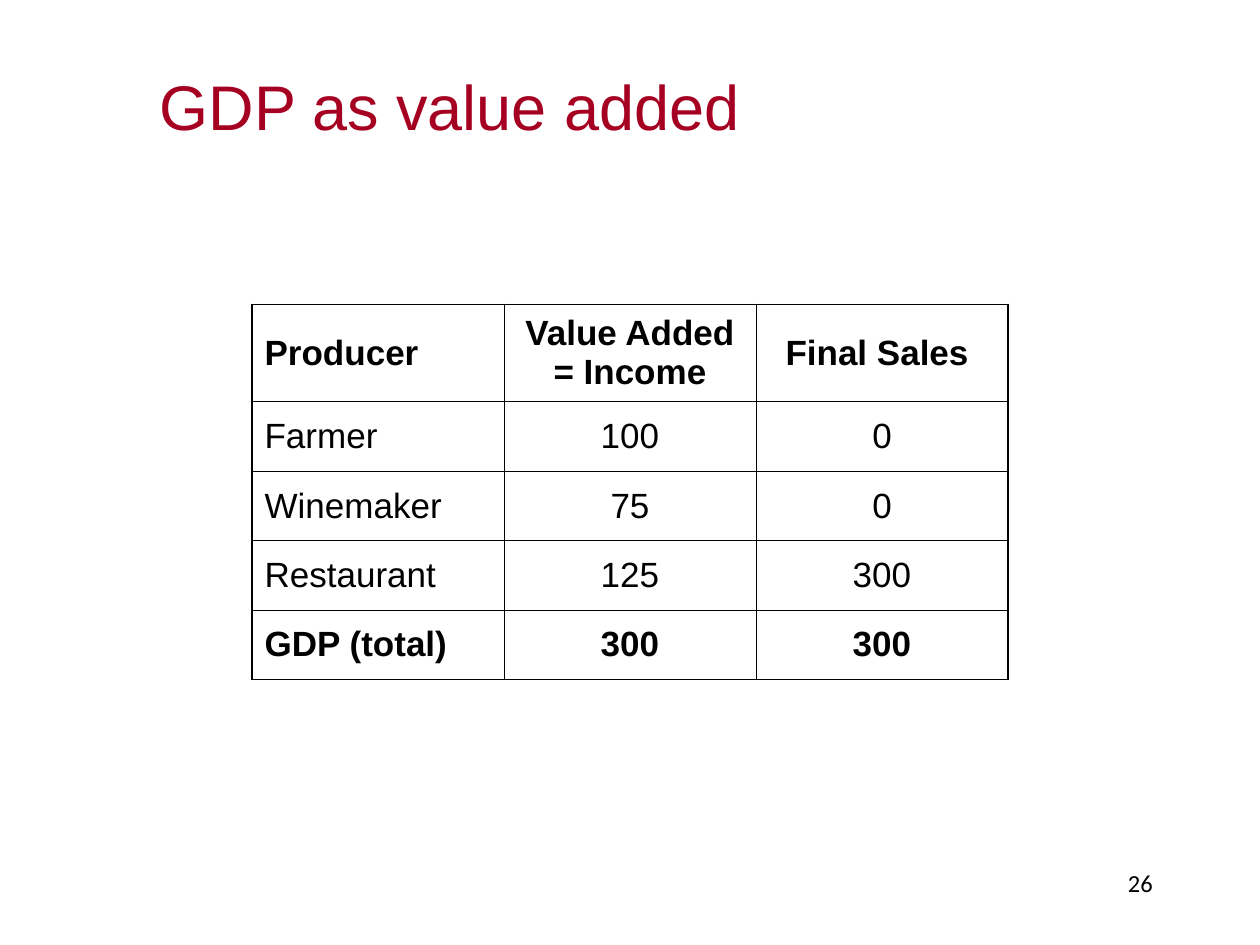
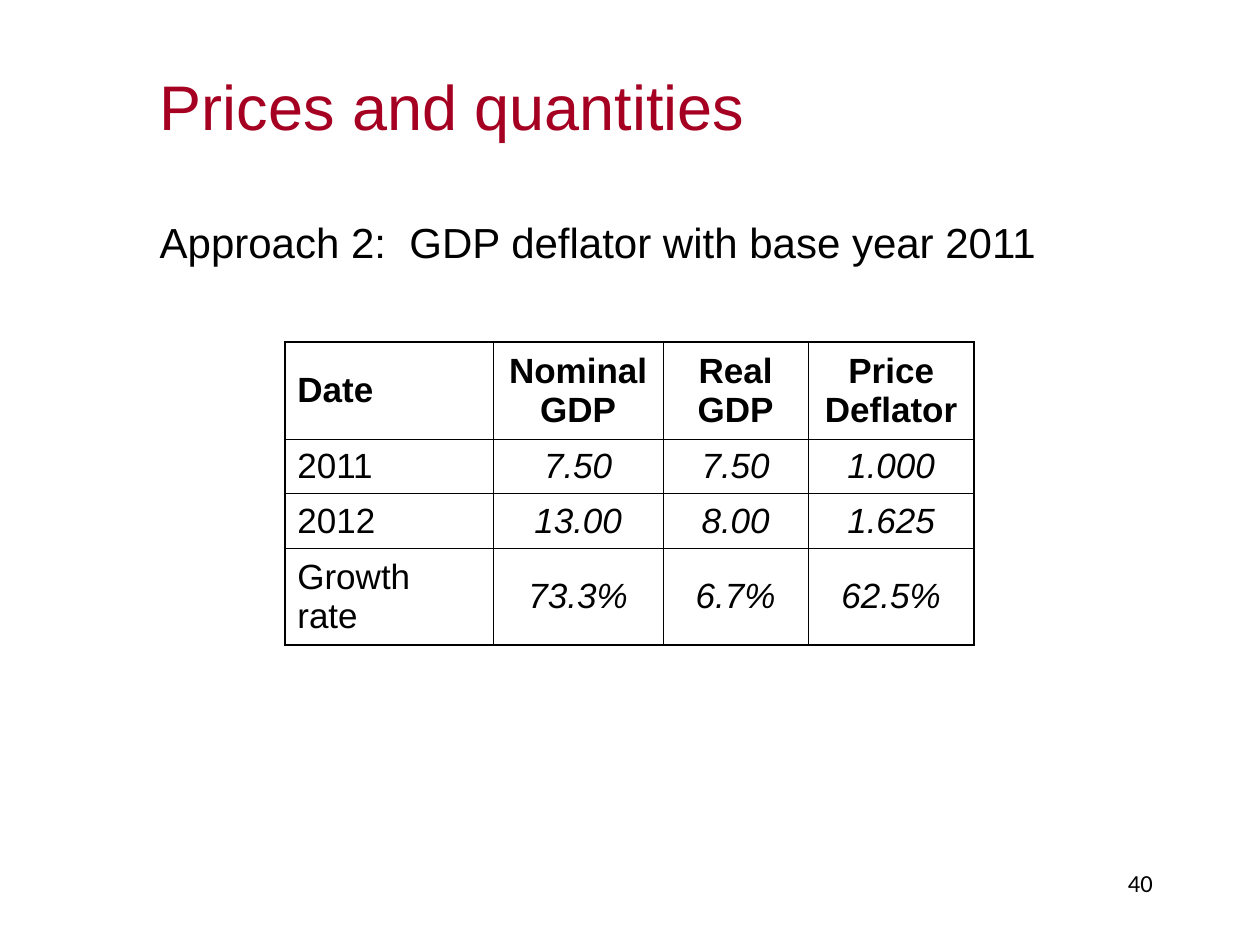
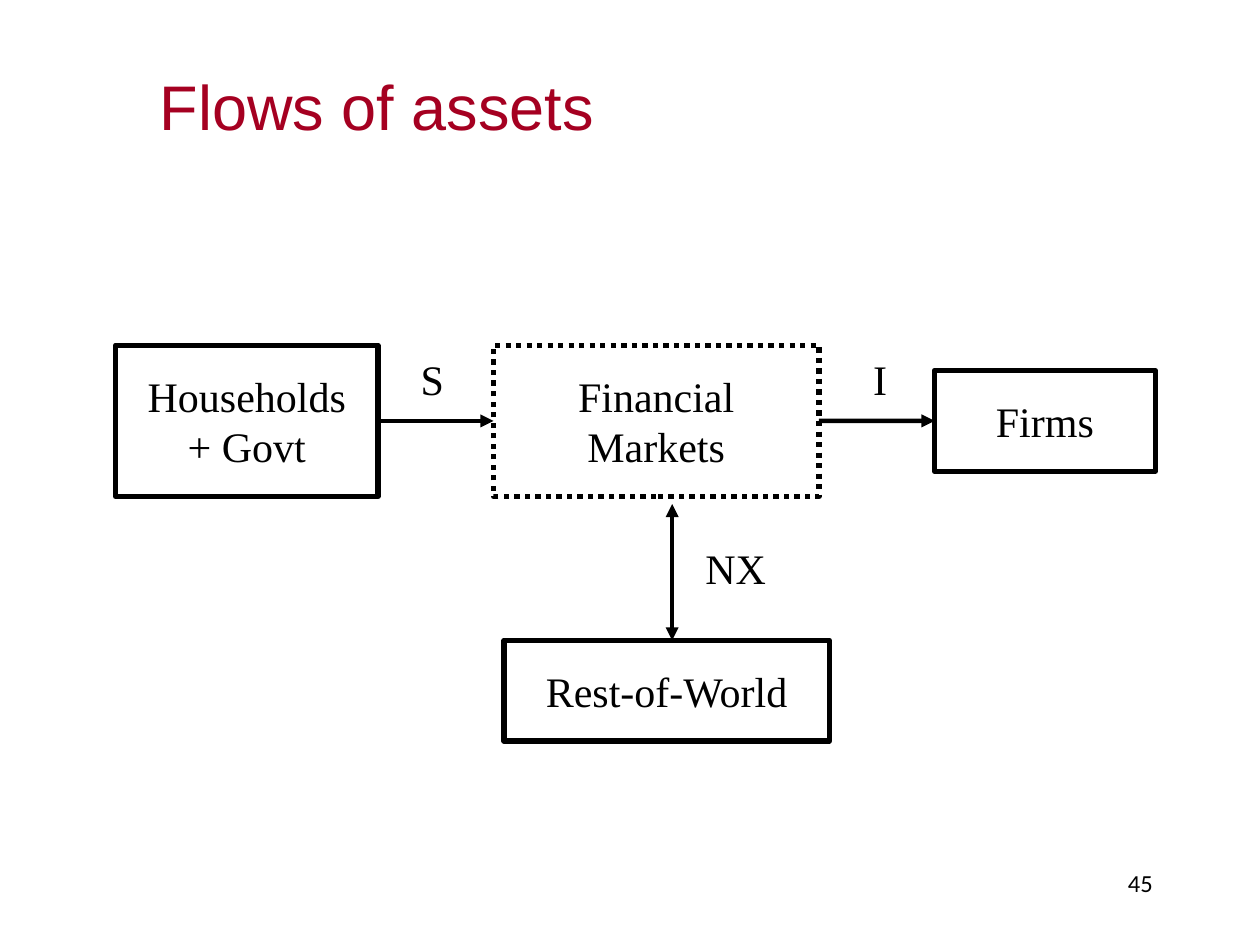
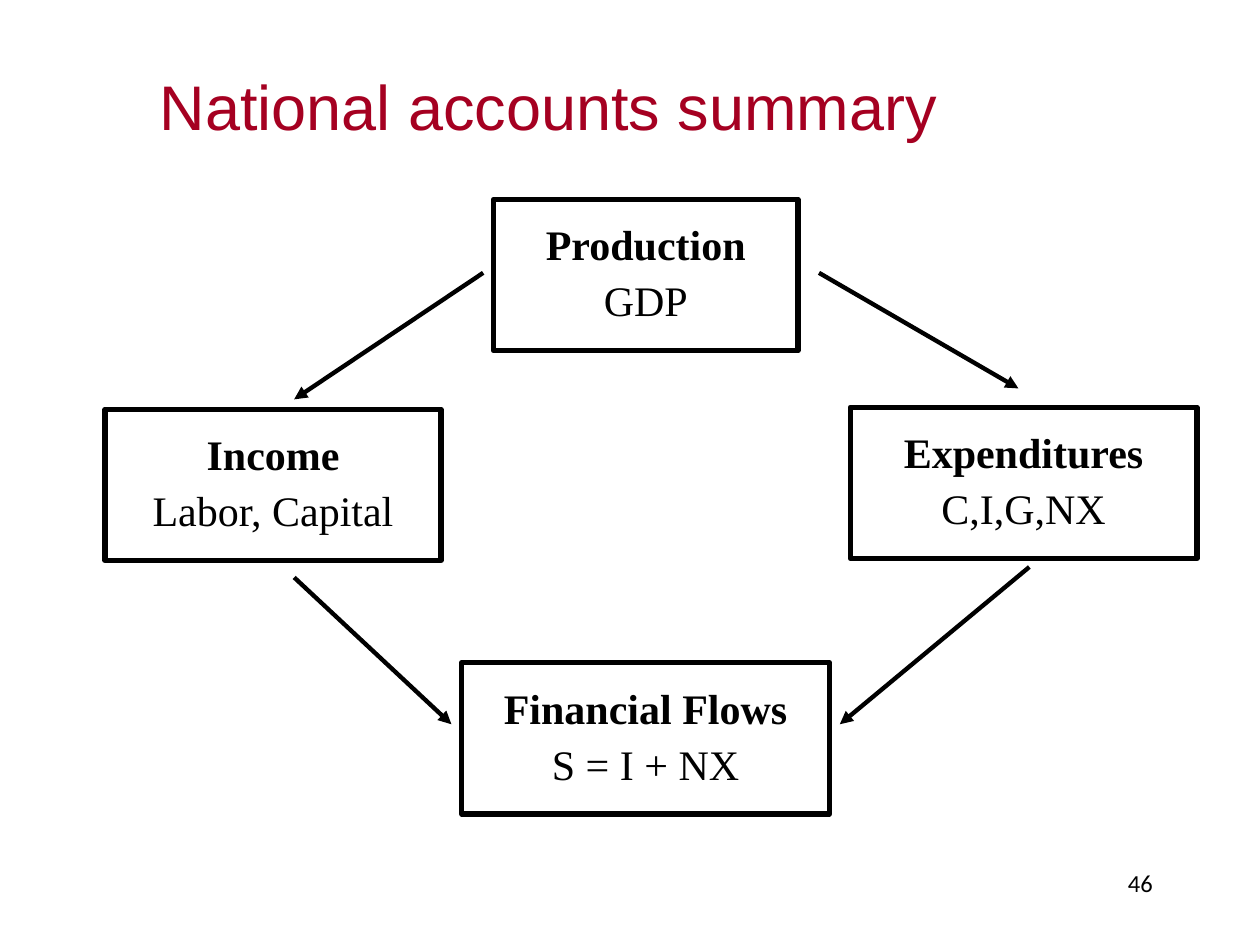
from lxml.etree import SubElement
from pptx import Presentation
from pptx.dml.color import RGBColor
from pptx.enum.dml import MSO_LINE
from pptx.enum.shapes import MSO_CONNECTOR, MSO_SHAPE
from pptx.enum.text import MSO_ANCHOR, PP_ALIGN
from pptx.oxml import parse_xml
from pptx.oxml.ns import nsdecls, qn
from pptx.util import Cm, Pt

BLACK = RGBColor(0x00, 0x00, 0x00)
CRIMSON = RGBColor(0xA5, 0x00, 0x21)
WHITE = RGBColor(0xFF, 0xFF, 0xFF)
SANS, SERIF, NUMBER_FONT = "Arial", "Times New Roman", "Calibri"

# All places are left, top, width, height in centimetres.
PAGE_SIZE = (25.4, 19.05)
TITLE_PLACE = (2.97, 1.06, 20.53, 2.12)
NUMBER_PLACE = (18.2, 17.36, 5.29, 1.27)
INSETS = (0.25, 0.13, 0.25, 0.13)
BOX_INSETS = (0.51, 0.51, 0.51, 0.51)
OUTER_RULE, INNER_RULE = Pt(1.08), Pt(0.45)

TITLE = {"name": SANS, "size": Pt(36), "color": CRIMSON}
NUMBER = {"name": NUMBER_FONT, "size": Pt(14)}
LEAD = {"name": SANS, "size": Pt(24)}
CELL = {"name": SANS, "size": Pt(20)}
DIAGRAM = {"name": SERIF, "size": Pt(24)}
DIAGRAM_BOLD = {**DIAGRAM, "bold": True}

VALUE_ADDED = {
    "corner": (5.08, 6.14),
    "columns": (5.08, 5.08, 5.08),
    "heights": (1.96, 1.4, 1.4, 1.4, 1.4),
    "bold_rows": (0, 4),
    "italic_values": False,
    "rows": [
        ("Producer", "Value Added = Income", "Final Sales "),
        ("Farmer", "100", "0"),
        ("Winemaker", "75", "0"),
        ("Restaurant", "125", "300"),
        ("GDP (total)", "300", "300"),
    ],
}
DEFLATOR = {
    "corner": (5.74, 6.9),
    "columns": (4.2, 3.43, 2.92, 3.35),
    "heights": (1.95, 1.1, 1.1, 1.1),
    "bold_rows": (0,),
    "italic_values": True,
    "rows": [
        ("Date", "Nominal GDP", "Real GDP", "Price Deflator"),
        ("2011", "7.50", "7.50", "1.000"),
        ("2012", "13.00", "8.00", "1.625"),
        ("Growth rate", "73.3%", "6.7%", "62.5%"),
    ],
}
DEFLATOR_LEAD = ("Approach 2:  GDP deflator with base year 2011",
                 (2.97, 4.24, 19.25, 1.27))

ASSET_BOXES = {
    "households": ("Households\v+ Govt", (2.33, 6.96, 5.29, 3.05)),
    "world": ("Rest-of-World", (10.16, 12.91, 6.56, 2.03)),
    "markets": ("Financial Markets", (9.95, 6.96, 6.56, 3.05)),
    "firms": ("Firms", (18.84, 7.47, 4.45, 2.03)),
}
ASSET_FLOWS = [("households", "markets"), ("markets", "firms")]
WORLD_FLOW = ((13.55, 10.16), (13.55, 12.91))
FLOW_LABELS = [
    ("S", (8.23, 6.99, 1.07, 1.27)),
    ("NX", (13.97, 10.8, 1.9, 1.27)),
    ("I", (17.35, 6.99, 1.07, 1.27)),
]

ACCOUNT_BOXES = [
    ("Production", "GDP", (9.95, 4.02, 6.14, 3.05)),
    ("Expenditures", "C,I,G,NX", (17.14, 8.21, 6.99, 3.05)),
    ("Income", "Labor, Capital", (2.12, 8.25, 6.77, 3.05)),
    ("Financial Flows", "S = I + NX", (9.31, 13.36, 7.41, 3.05)),
]
ACCOUNT_ARROWS = [
    ((16.51, 5.5), (20.53, 7.83)),
    ((9.74, 5.5), (5.93, 8.05)),
    ((20.75, 11.43), (16.93, 14.6)),
    ((5.93, 11.64), (9.1, 14.6)),
]


def cm(values):
    return [Cm(value) for value in values]


def write(para, text, style, align=PP_ALIGN.LEFT):
    para.text = text
    para.alignment = align
    for span in para.runs:
        span.font.color.rgb = style.get("color", BLACK)
        for key, value in style.items():
            if key != "color":
                setattr(span.font, key, value)


def set_frame(frame, insets, anchor=MSO_ANCHOR.TOP):
    left, top, right, bottom = cm(insets)
    settings = {"word_wrap": True, "vertical_anchor": anchor,
                "margin_left": left, "margin_top": top,
                "margin_right": right, "margin_bottom": bottom}
    for key, value in settings.items():
        setattr(frame, key, value)


def add_text(page, text, place, style, align=PP_ALIGN.LEFT,
             anchor=MSO_ANCHOR.TOP):
    frame = page.shapes.add_textbox(*cm(place)).text_frame
    set_frame(frame, INSETS, anchor)
    write(frame.paragraphs[0], text, style, align)


def add_page(deck, title, number):
    page = deck.slides.add_slide(deck.slide_layouts[6])
    page.background.fill.solid()
    page.background.fill.fore_color.rgb = WHITE
    add_text(page, number, NUMBER_PLACE, NUMBER, PP_ALIGN.RIGHT)
    add_text(page, title, TITLE_PLACE, TITLE, anchor=MSO_ANCHOR.MIDDLE)
    return page


def rule_cell(cell, outer_sides):
    """Draw the four borders, thicker on the sides at the table's edge."""
    properties = cell._tc.get_or_add_tcPr()
    for index, side in enumerate("LRTB"):
        width = OUTER_RULE if side in outer_sides else INNER_RULE
        properties.insert(index, parse_xml(
            f'<a:ln{side} {nsdecls("a")} w="{int(width)}"><a:solidFill>'
            f'<a:srgbClr val="{BLACK}"/></a:solidFill></a:ln{side}>'))


def add_ruled_table(page, data):
    rows, columns, heights = data["rows"], data["columns"], data["heights"]
    size = (sum(columns), sum(heights))
    table = page.shapes.add_table(len(rows), len(columns),
                                  *cm(data["corner"] + size)).table
    table.first_row = table.horz_banding = False
    for column, width in zip(table.columns, columns):
        column.width = Cm(width)
    for row, height in zip(table.rows, heights):
        row.height = Cm(height)
    for r, texts in enumerate(rows):
        for c, text in enumerate(texts):
            cell = table.cell(r, c)
            cell.fill.background()
            cell.vertical_anchor = MSO_ANCHOR.MIDDLE
            style = {**CELL, "bold": r in data["bold_rows"],
                     "italic": data["italic_values"] and r > 0 and c > 0}
            write(cell.text_frame.paragraphs[0], text, style,
                  PP_ALIGN.CENTER if c else PP_ALIGN.LEFT)
            edges = {"L": c == 0, "R": c == len(columns) - 1,
                     "T": r == 0, "B": r == len(rows) - 1}
            rule_cell(cell, [side for side, outer in edges.items() if outer])


def add_box(page, lines, place, line_spacing=None):
    """Add an outlined rectangle holding (text, style) lines."""
    box = page.shapes.add_shape(MSO_SHAPE.RECTANGLE, *cm(place))
    box.shadow.inherit = False
    box.fill.background()
    box.line.color.rgb = BLACK
    box.line.width = Pt(3)
    frame = box.text_frame
    set_frame(frame, BOX_INSETS)
    for index, (text, style) in enumerate(lines):
        para = frame.add_paragraph() if index else frame.paragraphs[0]
        write(para, text, style, PP_ALIGN.CENTER)
        para.line_spacing = line_spacing
        if index:
            para.space_before = Pt(6)
    return box


def add_arrow(page, start=(0, 0), end=(0, 0), ends=("tailEnd",)):
    arrow = page.shapes.add_connector(MSO_CONNECTOR.STRAIGHT,
                                      *cm(start + end))
    arrow.line.color.rgb = BLACK
    arrow.line.width = Pt(2.5)
    for name in ends:
        SubElement(arrow.line._get_or_add_ln(), qn(f"a:{name}"),
                   type="triangle")
    SubElement(arrow._element.spPr, qn("a:effectLst"))
    return arrow


def build_asset_flows(page):
    boxes = {name: add_box(page, [(text, DIAGRAM)], place)
             for name, (text, place) in ASSET_BOXES.items()}
    boxes["markets"].line.dash_style = MSO_LINE.ROUND_DOT
    for source, target in ASSET_FLOWS:
        arrow = add_arrow(page)
        arrow.begin_connect(boxes[source], 3)
        arrow.end_connect(boxes[target], 1)
    add_arrow(page, *WORLD_FLOW, ends=("headEnd", "tailEnd"))
    for text, place in FLOW_LABELS:
        add_text(page, text, place, DIAGRAM)


def build_accounts(page):
    for heading, detail, place in ACCOUNT_BOXES:
        add_box(page, [(heading, DIAGRAM_BOLD), (detail, DIAGRAM)], place,
                line_spacing=0.9)
    for start, end in ACCOUNT_ARROWS:
        add_arrow(page, start, end)


def main():
    deck = Presentation()
    deck.slide_width, deck.slide_height = cm(PAGE_SIZE)

    add_ruled_table(add_page(deck, "GDP as value added", "26"), VALUE_ADDED)

    page = add_page(deck, "Prices and quantities", "40")
    add_ruled_table(page, DEFLATOR)
    add_text(page, *DEFLATOR_LEAD, LEAD)

    build_asset_flows(add_page(deck, "Flows of assets", "45"))
    build_accounts(add_page(deck, "National accounts summary", "46"))
    deck.save("out.pptx")


if __name__ == "__main__":
    main()
